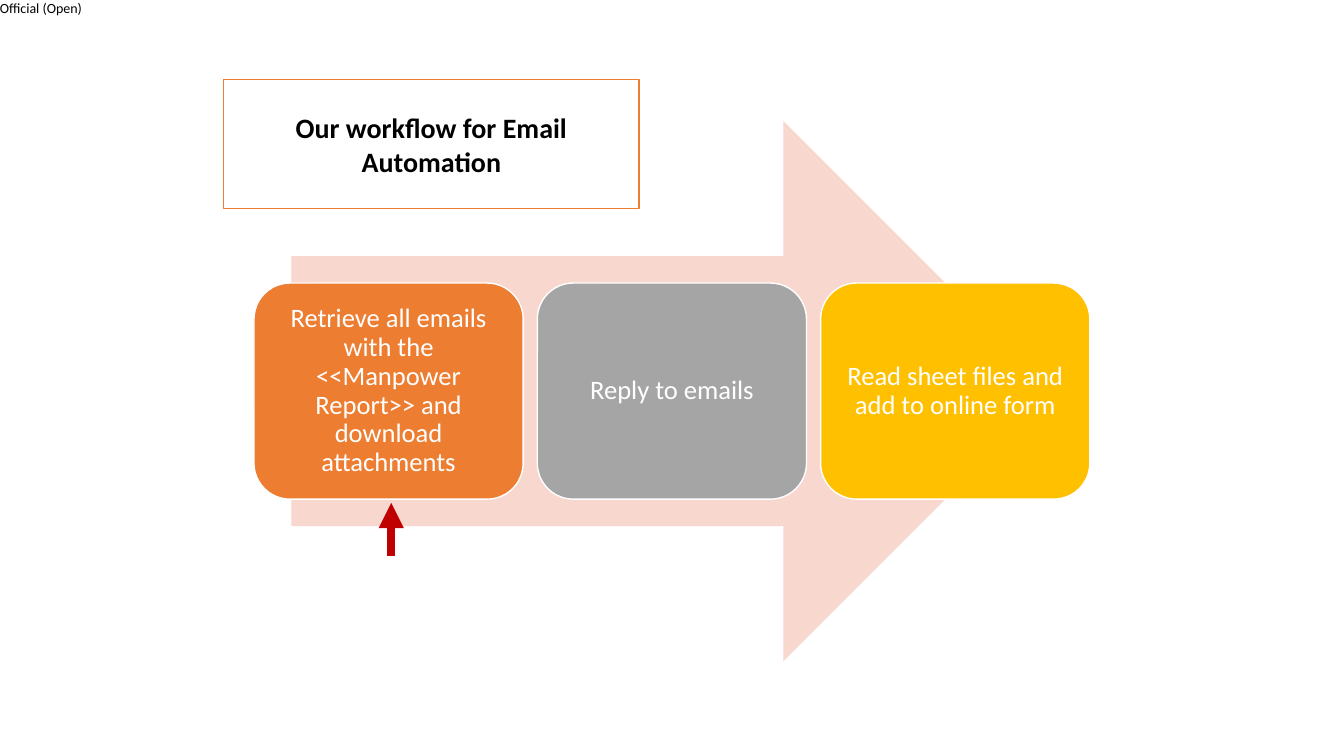
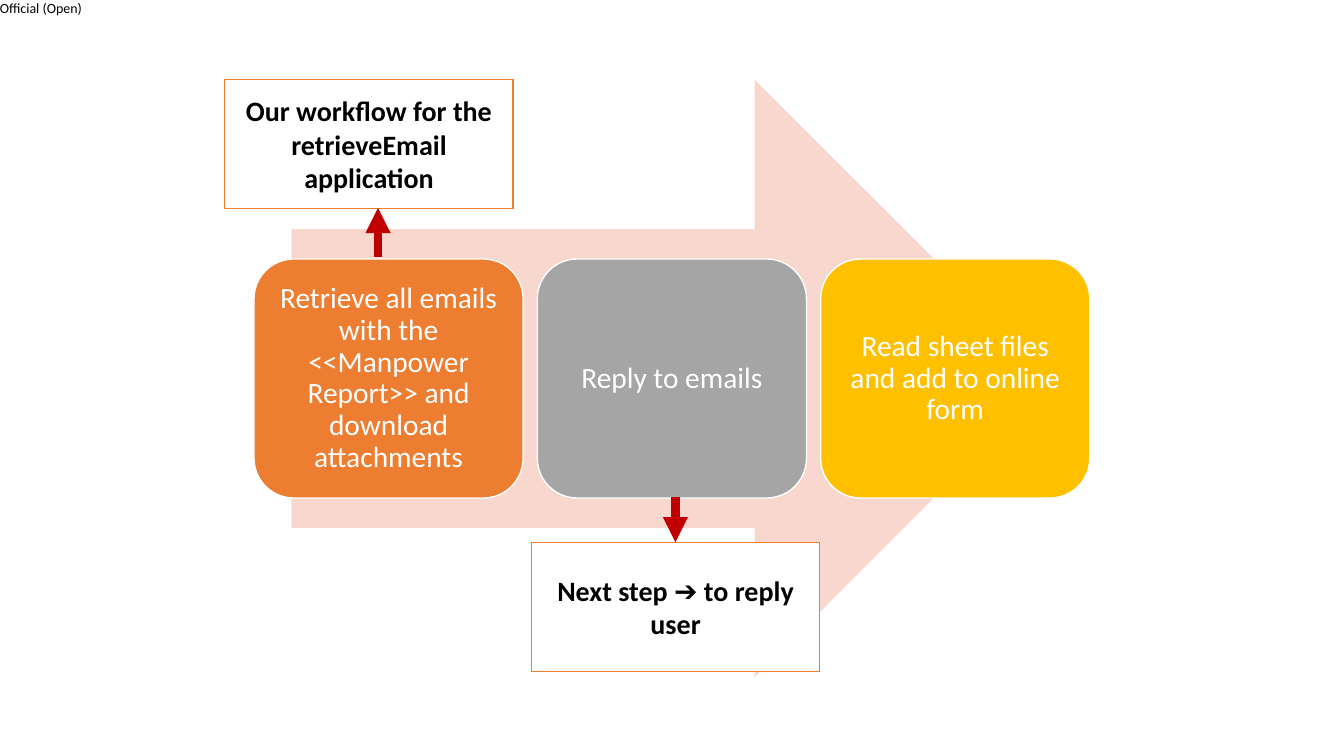
from lxml import etree
from pptx import Presentation
from pptx.dml.color import RGBColor
from pptx.enum.shapes import MSO_CONNECTOR, MSO_SHAPE
from pptx.enum.text import MSO_ANCHOR, MSO_AUTO_SIZE, PP_ALIGN
from pptx.oxml.ns import qn
from pptx.util import Inches, Pt

RECT, ROUND, ARROW = MSO_SHAPE.RECTANGLE, MSO_SHAPE.ROUNDED_RECTANGLE, MSO_SHAPE.RIGHT_ARROW
STRAIGHT = MSO_CONNECTOR.STRAIGHT
MIDDLE, CENTER = MSO_ANCHOR.MIDDLE, PP_ALIGN.CENTER
FIT_SHAPE = MSO_AUTO_SIZE.SHAPE_TO_FIT_TEXT

FONT = "Calibri"
COLORS = {"white": "FFFFFF", "black": "000000", "orange": "ED7D31", "gray": "A5A5A5",
          "gold": "FFC000", "pink": "F8D7CE", "red": "C00000"}
RGB = {name: RGBColor.from_string(value) for name, value in COLORS.items()}

prs = Presentation()
prs.slide_width, prs.slide_height = Inches(13.33), Inches(7.5)
COL, ROW = prs.slide_width / 100, prs.slide_height / 100  # grid of 100 by 100

# Step boxes, in columns
STEP_LEFT, STEP_WIDTH, STEP_PITCH = 18.9, 20.03, 21.08
STEP_SHARE = 0.4  # of the arrow's height
ARROW_LEFT, ARROW_WIDTH = 21.68, 56.71
NOTE_TOP, NOTE_HEIGHT = 10.53, 17.07

STEPS = [
    ("Retrieve all emails with the <<Manpower Report>> and download attachments", "orange"),
    ("Reply to emails", "gray"),
    ("Read sheet files and add to online form", "gold"),
]

# notes: left, top, width, text; pointers: x, from y, to y
SLIDES = [
    {"arrow": (16, 71.47), "size": 19, "inset": 0.08,
     "notes": [(16.65, NOTE_TOP, 30.9, "Our workflow for Email Automation")],
     "pointers": [(29.11, 73.6, 66.53)]},
    {"arrow": (10.53, 79.07), "size": 21, "inset": 0.09,
     "notes": [(16.73, NOTE_TOP, 21.46, "Our workflow for the retrieveEmail application"),
               (39.54, 71.73, 21.46, "Next step ➔ to reply user")],
     "pointers": [(28.13, 34, 27.5), (50.26, 65.73, 71.73)]},
]


def add_block(s, kind, grid, fill, line=None):
    """Add a shape at left, top, width, height in columns and rows."""
    x, y, w, h = grid
    sp = s.shapes.add_shape(kind, int(x * COL), int(y * ROW), int(w * COL), int(h * ROW))
    sp.shadow.inherit = False
    sp.fill.solid()
    sp.fill.fore_color.rgb = RGB[fill]
    if line:
        sp.line.color.rgb = RGB[line]
        sp.line.width = Pt(1)
    else:
        sp.line.fill.background()
    return sp


def add_text(sp, text, size, color, bold=False):
    tf = sp.text_frame
    tf.word_wrap = True
    tf.vertical_anchor = MIDDLE
    p = tf.paragraphs[0]
    p.alignment = CENTER
    r = p.add_run()
    r.text = text
    r.font.name, r.font.size, r.font.bold = FONT, Pt(size), bold
    r.font.color.rgb = RGB[color]
    return tf


blank = prs.slide_layouts[6]
for spec_row in SLIDES:
    s = prs.slides.add_slide(blank)
    top, height = spec_row["arrow"]
    add_block(s, ARROW, (ARROW_LEFT, top, ARROW_WIDTH, height), "pink")

    step_height = height * STEP_SHARE
    step_top = top + (height - step_height) / 2
    for i, (text, fill) in enumerate(STEPS):
        left = STEP_LEFT + i * STEP_PITCH
        sp = add_block(s, ROUND, (left, step_top, STEP_WIDTH, step_height), fill, "white")
        tf = add_text(sp, text, spec_row["size"], "white")
        tf.paragraphs[0].line_spacing = 0.9
        inset = Inches(spec_row["inset"])
        tf.margin_left = tf.margin_right = tf.margin_top = tf.margin_bottom = inset

    for left, note_top, width, text in spec_row["notes"]:
        sp = add_block(s, RECT, (left, note_top, width, NOTE_HEIGHT), "white", "orange")
        add_text(sp, text, 20, "black", bold=True)

    for x, start, end in spec_row["pointers"]:
        cx = s.shapes.add_connector(STRAIGHT, int(x * COL), int(start * ROW),
                                    int(x * COL), int(end * ROW))
        cx.line.color.rgb = RGB["red"]
        cx.line.width = Pt(6)
        sp_pr = cx.element.spPr
        etree.SubElement(sp_pr.find(qn("a:ln")), qn("a:tailEnd"), type="triangle")
        etree.SubElement(sp_pr, qn("a:effectLst"))

# The classification label belongs to the master, so every slide shows it
label = prs.slides[0].shapes.add_textbox(0, 0, int(6.38 * COL), int(2.27 * ROW))
tf = label.text_frame
tf.word_wrap = False
tf.auto_size = FIT_SHAPE
tf.margin_left = tf.margin_right = tf.margin_top = tf.margin_bottom = 0
r = tf.paragraphs[0].add_run()
r.text = "Official (Open)"
r.font.name, r.font.size = FONT, Pt(10)
r.font.color.rgb = RGB["black"]
prs.slide_master.shapes.element.append(label.element)

prs.save("out.pptx")
